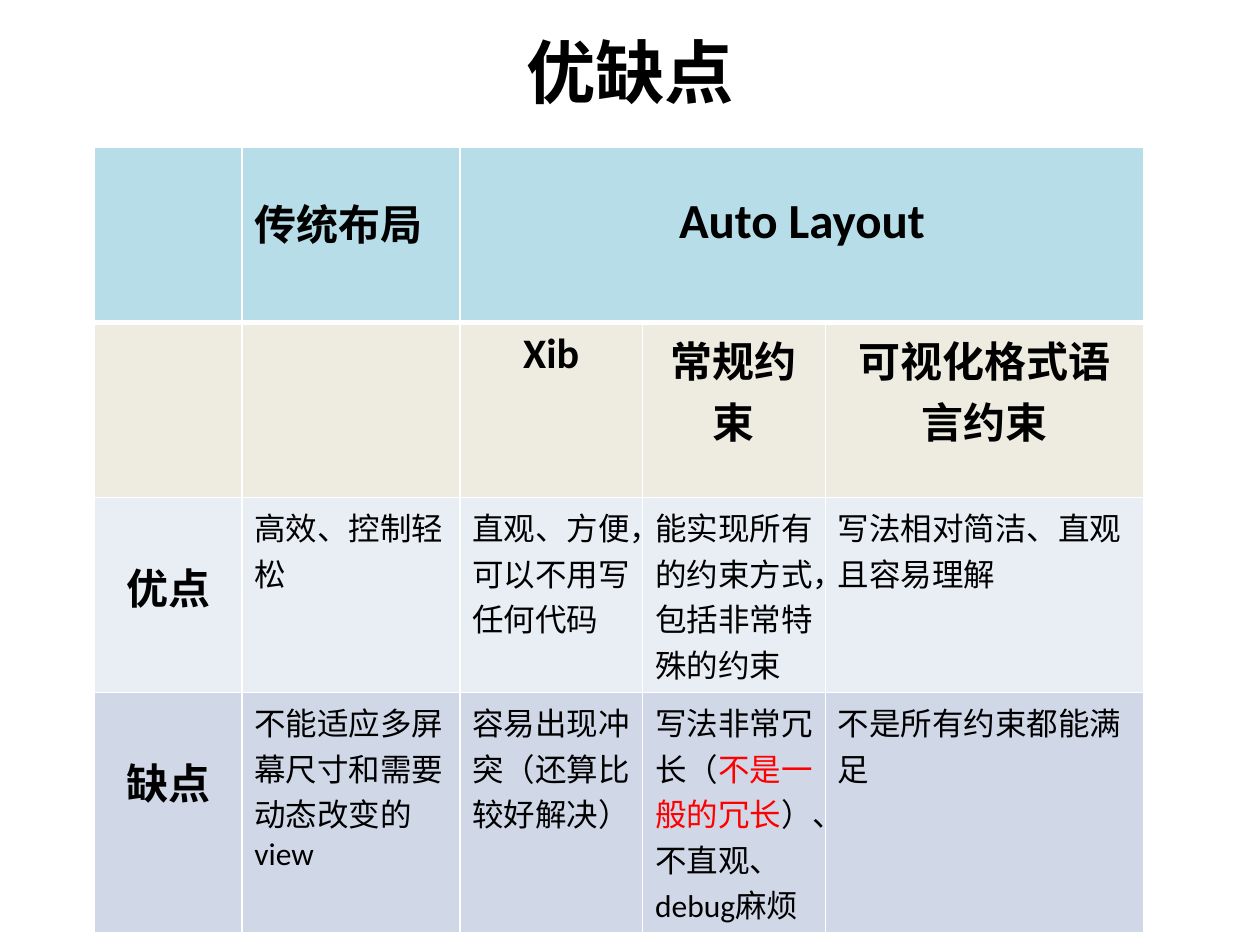
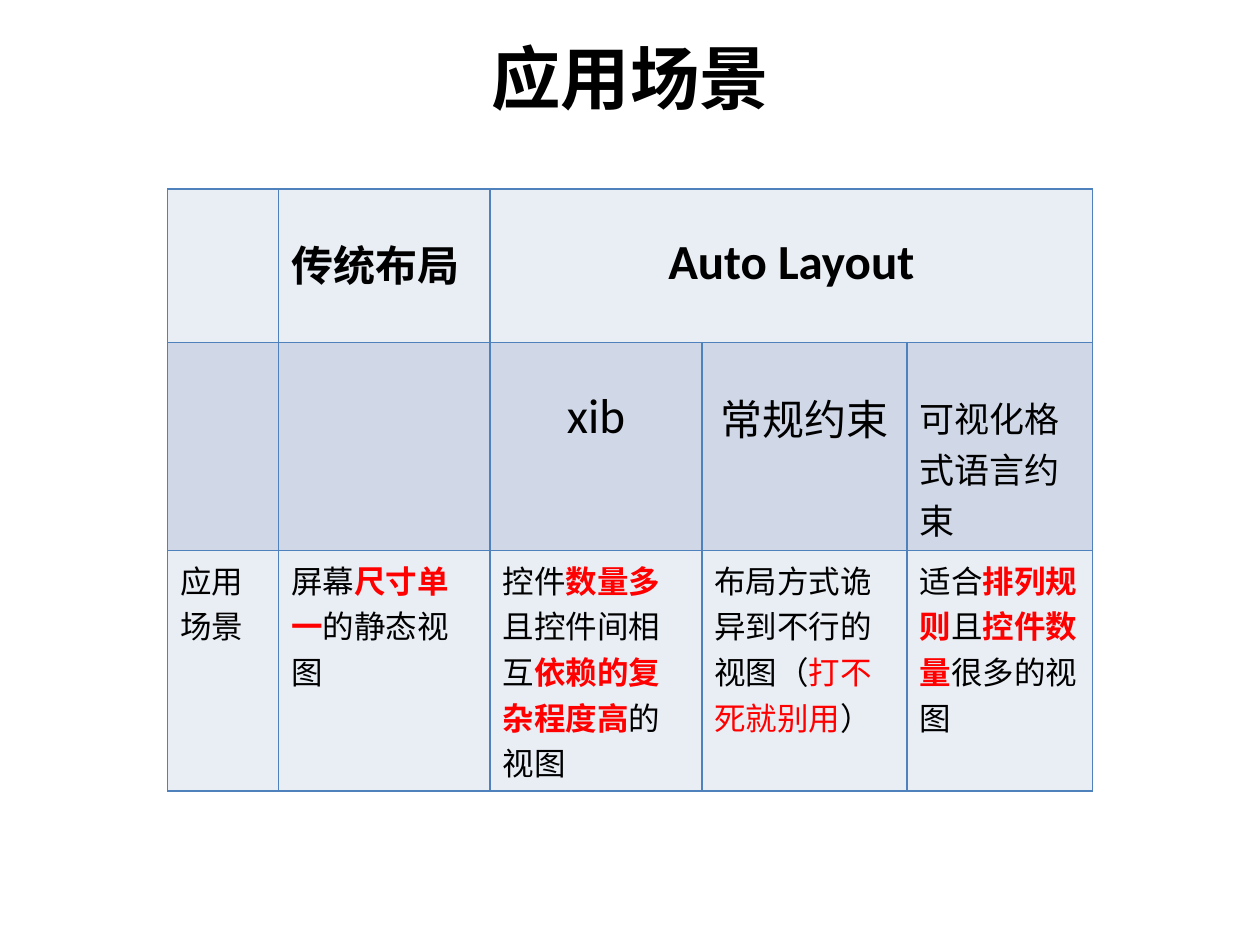
from dataclasses import dataclass

from lxml import etree
from pptx import Presentation
from pptx.dml.color import RGBColor
from pptx.enum.lang import MSO_LANGUAGE_ID
from pptx.enum.text import MSO_ANCHOR, MSO_AUTO_SIZE, PP_ALIGN
from pptx.oxml.ns import qn
from pptx.util import Inches, Pt

LEFT, CENTER, JUSTIFY = PP_ALIGN.LEFT, PP_ALIGN.CENTER, PP_ALIGN.JUSTIFY
MIDDLE = MSO_ANCHOR.MIDDLE
NO_AUTOFIT = MSO_AUTO_SIZE.NONE
CHINESE = MSO_LANGUAGE_ID.SIMPLIFIED_CHINESE
TITLE_ONLY = 5


@dataclass(frozen=True)
class Theme:
    font: str = "Calibri"
    text: str = "000000"
    accent: str = "FF0000"
    white: str = "FFFFFF"
    grid: str = "4F81BD"
    header: str = "B7DEE8"
    subheader: str = "EEECE1"
    light_band: str = "E9EDF4"
    dark_band: str = "D0D8E8"
    title_size: float = 39.6
    large_size: int = 28
    heading_size: int = 24
    small_heading_size: int = 20
    body_size: int = 18
    thin_line: int = 1
    thick_line: int = 3
    cell_margin: float = 0.05
    line_height: float = 1.22  # line height as a share of the type size


THEME = Theme()


@dataclass(frozen=True)
class Cell:
    """Text of one table cell; lead is the type size of the line left free above."""
    runs: tuple = ()
    size: float = THEME.body_size
    bold: bool = False
    align: PP_ALIGN = LEFT
    lead: float = 0


# Kinds of text and cell
def red(text, bold=False):
    return text, THEME.accent, bold


def body(*runs):
    return Cell(runs)


def heading(text, size=THEME.heading_size, bold=True, align=CENTER, lead=0):
    return Cell((text,), size, bold, align, lead)


def header_row(traditional_align):
    lead = THEME.body_size
    return [
        Cell(),
        heading("传统布局", align=traditional_align, lead=lead),
        heading("Auto Layout", THEME.large_size, lead=lead),
        Cell(),
        Cell(),
    ]


# Formatting
def apply_format(target, values):
    for name, value in values.items():
        setattr(target, name, value)


def add_run(paragraph, text, size, bold, color=THEME.text):
    run = paragraph.add_run()
    run.text = text
    apply_format(run.font, {
        "name": THEME.font, "size": Pt(size), "bold": bold, "language_id": CHINESE,
    })
    run.font.color.rgb = RGBColor.from_string(color)


def set_borders(cell, color, bottom_width):
    properties = cell._tc.get_or_add_tcPr()
    for index, side in enumerate("LRTB"):
        width = bottom_width if side == "B" else THEME.thin_line
        line = etree.Element(qn(f"a:ln{side}"), w=str(Pt(width)))
        fill = etree.SubElement(line, qn("a:solidFill"))
        etree.SubElement(fill, qn("a:srgbClr"), val=color)
        properties.insert(index, line)


def fill_cell(cell, content, color):
    cell.fill.solid()
    cell.fill.fore_color.rgb = RGBColor.from_string(color)
    free_line = content.lead * THEME.line_height / 72
    cell.margin_top = Inches(round(THEME.cell_margin + free_line, 2))
    paragraph = cell.text_frame.paragraphs[0]
    paragraph.alignment = content.align
    for run in content.runs:
        if isinstance(run, str):
            add_run(paragraph, run, content.size, content.bold)
        else:
            text, run_color, bold = run
            add_run(paragraph, text, content.size, bold, run_color)


# Slide elements
def add_titled_slide(presentation, title, height):
    slide = presentation.slides.add_slide(presentation.slide_layouts[TITLE_ONLY])
    shape = slide.shapes.title
    apply_format(shape, {
        "left": Inches(0.5), "top": Inches(0.3),
        "width": Inches(9), "height": Inches(height),
    })
    apply_format(shape.text_frame, {
        "auto_size": NO_AUTOFIT, "vertical_anchor": MIDDLE, "word_wrap": True,
    })
    paragraph = shape.text_frame.paragraphs[0]
    paragraph.alignment = CENTER
    add_run(paragraph, title, THEME.title_size, True)
    return slide


def add_comparison_table(slide, left, top, widths, heights, rows, row_fills,
                         border, header_line=THEME.thin_line):
    frame = slide.shapes.add_table(
        len(rows), len(widths), Inches(left), Inches(top),
        Inches(sum(widths)), Inches(sum(heights)))
    table = frame.table
    apply_format(table, {"first_row": False, "horz_banding": False})
    for column, width in zip(table.columns, widths):
        column.width = Inches(width)
    for row, height in zip(table.rows, heights):
        row.height = Inches(height)
    for row_index, (contents, color) in enumerate(zip(rows, row_fills)):
        bottom_width = THEME.thin_line if row_index else header_line
        for column_index, content in enumerate(contents):
            cell = table.cell(row_index, column_index)
            fill_cell(cell, content, color)
            set_borders(cell, border, bottom_width)
    # "Auto Layout" heads the last three columns
    table.cell(0, 2).merge(table.cell(0, 4))


# Slides
def add_pros_and_cons(presentation):
    slide = add_titled_slide(presentation, "优缺点", 0.53)
    rows = [
        header_row(JUSTIFY),
        [Cell(), Cell(), heading("Xib"), heading("常规约束"),
         heading("可视化格式语言约束")],
        [heading("优点", lead=THEME.heading_size),
         body("高效、控制轻松"),
         body("直观、方便，可以不用写任何代码"),
         body("能实现所有的约束方式，包括非常特殊的约束"),
         body("写法相对简洁、直观且容易理解")],
        [heading("缺点", lead=THEME.heading_size),
         body("不能适应多屏幕尺寸和需要动态改变的view"),
         body("容易出现冲突（还算比较好解决）"),
         body("写法非常冗长（", red("不是一般的冗长"), "）、不直观、debug麻烦"),
         body("不是所有约束都能满足")],
    ]
    add_comparison_table(
        slide, 0.75, 1.17, [1.17, 1.73, 1.45, 1.45, 2.53], [1.39] * 4, rows,
        [THEME.header, THEME.subheader, THEME.light_band, THEME.dark_band],
        THEME.white, THEME.thick_line)


def add_use_cases(presentation):
    slide = add_titled_slide(presentation, "应用场景", 0.62)
    small = THEME.small_heading_size
    rows = [
        header_row(LEFT),
        [Cell(), Cell(),
         heading("xib", THEME.large_size, bold=False, lead=THEME.body_size),
         heading("常规约束", bold=False, lead=THEME.body_size),
         heading("可视化格式语言约束", small, bold=False, align=LEFT, lead=small)],
        [body("应用场景"),
         body("屏幕", red("尺寸单一", True), "的静态视图"),
         body("控件", red("数量多", True), "且控件间相互",
              red("依赖的复杂程度高", True), "的视图"),
         body("布局方式诡异到不行的视图（", red("打不死就别用"), "）"),
         body("适合", red("排列规则", True), "且",
              red("控件数量", True), "很多的视图")],
    ]
    add_comparison_table(
        slide, 1.33, 1.5, [0.88, 1.68, 1.68, 1.63, 1.47], [1.22, 1.37, 1.85], rows,
        [THEME.light_band, THEME.dark_band, THEME.light_band], THEME.grid)


def main():
    presentation = Presentation()
    apply_format(presentation, {
        "slide_width": Inches(10), "slide_height": Inches(7.5),
    })
    add_pros_and_cons(presentation)
    add_use_cases(presentation)
    presentation.save("out.pptx")


if __name__ == "__main__":
    main()
